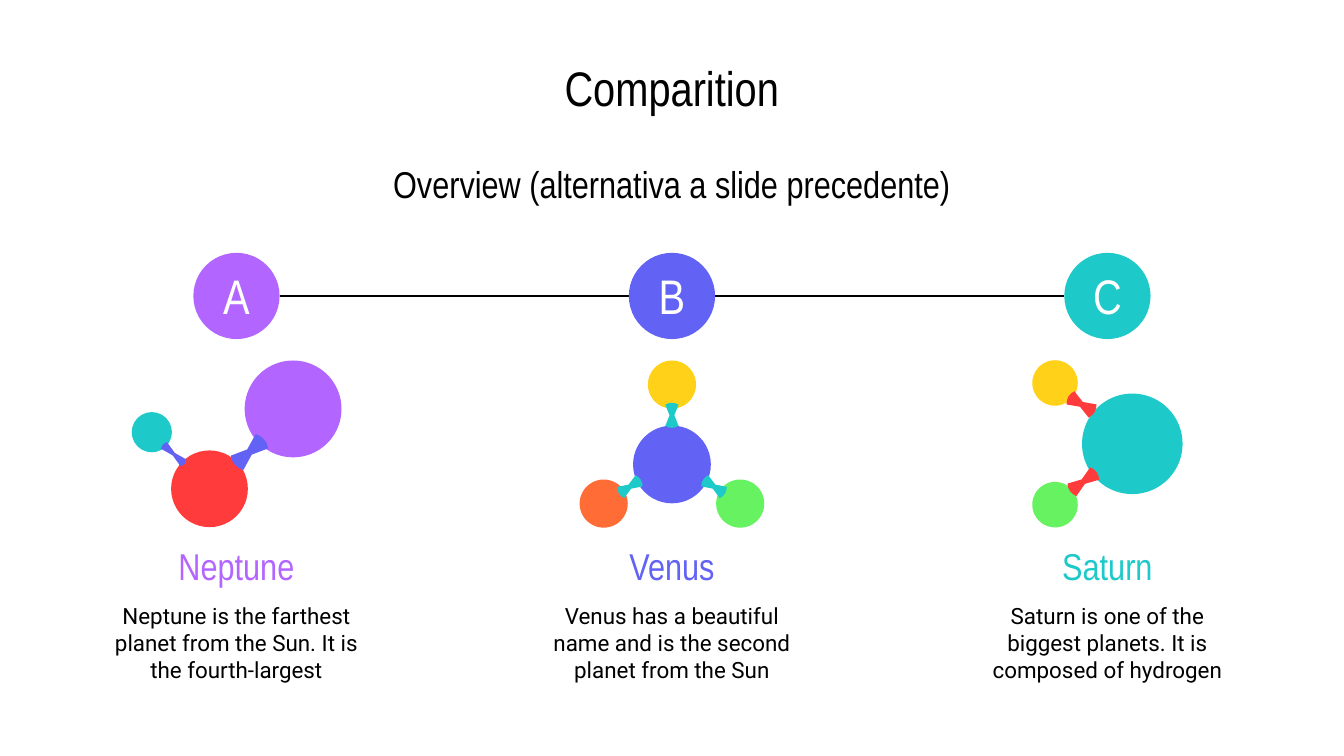
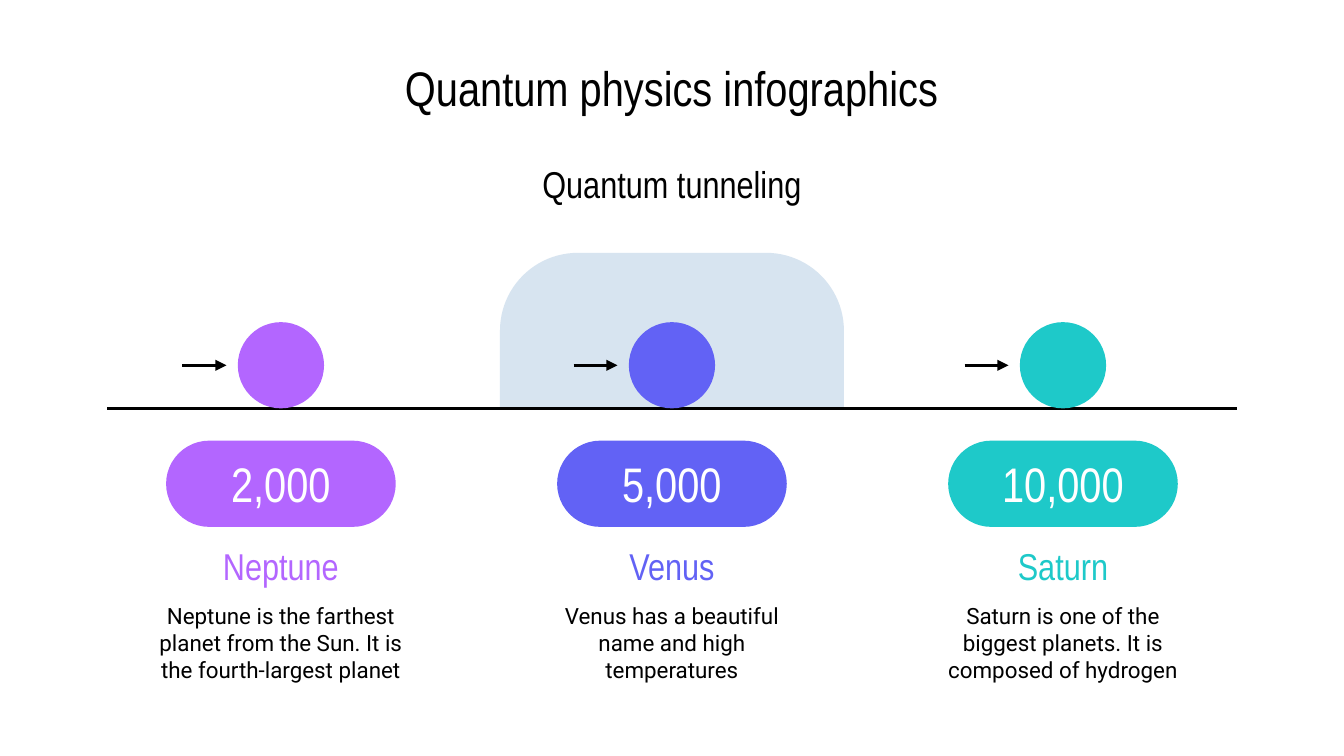
"""Build two infographic slides comparing three planets."""
import math

import pptx
import pptx.dml.color
import pptx.enum.shapes
import pptx.enum.text
import pptx.oxml
import pptx.oxml.ns
import pptx.util

Cm, Pt = pptx.util.Cm, pptx.util.Pt
SHAPE = pptx.enum.shapes.MSO_SHAPE

COLORS = {
    "black": "000000", "white": "FFFFFF", "purple": "B366FF", "blue": "6262F5",
    "teal": "1EC9C9", "red": "FF3B3B", "yellow": "FFD119", "orange": "FF6C36",
    "green": "66F261", "barrier": "D7E4F0",
}
HEAD, BODY = "Arial Narrow", "Roboto"
WIDTH, HEIGHT = 25.4, 14.29
MID = WIDTH / 2
BALL = 1.63

PLANETS = [("Neptune", "purple"), ("Venus", "blue"), ("Saturn", "teal")]

COMPARISON = {
    "title": "Comparition",
    "subtitle": "Overview (alternativa a slide precedente)",
    "step": 8.23,
    "labels": ["A", "B", "C"],
    "texts": [
        "Neptune is the farthest planet from the Sun. It is the fourth-largest",
        "Venus has a beautiful name and is the second planet from the Sun",
        "Saturn is one of the biggest planets. It is composed of hydrogen",
    ],
}
TUNNELING = {
    "title": "Quantum physics infographics",
    "subtitle": "Quantum tunneling",
    "step": 7.39,
    "labels": ["2,000", "5,000", "10,000"],
    "texts": [
        "Neptune is the farthest planet from the Sun. It is the fourth-largest planet",
        "Venus has a beautiful name and high temperatures",
        "Saturn is one of the biggest planets. It is composed of hydrogen",
    ],
}

# atoms: x from column centre, y, diameter, colour; bonds: x1, y1, x2, y2, width
MOLECULES = [
    {"atoms": [(-0.51, 9.24, 1.45, "red"), (-1.6, 8.17, 0.76, "teal"),
               (1.07, 7.73, 1.83, "purple")],
     "bonds": [(0.48, 8.34, 0.01, 8.75, 0.36), (-1.37, 8.42, -1, 8.75, 0.17)],
     "bond": "blue"},
    {"atoms": [(0, 8.78, 1.47, "blue"), (0, 7.27, 0.91, "yellow"),
               (-1.29, 9.52, 0.91, "orange"), (1.29, 9.52, 0.91, "green")],
     "bonds": [(0, 7.65, 0, 8.05, 0.25), (-0.62, 9.09, -0.97, 9.31, 0.25),
               (0.62, 9.09, 0.97, 9.31, 0.25)],
     "bond": "teal"},
    {"atoms": [(0.47, 8.39, 1.9, "teal"), (-0.99, 7.24, 0.86, "yellow"),
               (-0.99, 9.54, 0.86, "green")],
     "bonds": [(-0.7, 7.52, -0.28, 7.77, 0.29), (-0.24, 8.95, -0.67, 9.26, 0.29)],
     "bond": "red"},
]


def rgb(name):
    return pptx.dml.color.RGBColor.from_string(COLORS[name])


def write(sp, text, size, font, color, bottom=0.25):
    tf = sp.text_frame
    tf.word_wrap = True
    tf.vertical_anchor = pptx.enum.text.MSO_ANCHOR.MIDDLE
    tf.margin_left = tf.margin_right = tf.margin_top = Cm(0.25)
    tf.margin_bottom = Cm(bottom)
    p = tf.paragraphs[0]
    p.alignment = pptx.enum.text.PP_ALIGN.CENTER
    r = p.add_run()
    r.text = text
    r.font.size, r.font.name = Pt(size), font
    r.font.color.rgb = rgb(color)


def add_text(s, cx, y, w, h, text, size, font, color):
    sp = s.shapes.add_textbox(Cm(cx - w / 2), Cm(y), Cm(w), Cm(h))
    write(sp, text, size, font, color)


def paint(sp, color):
    sp.shadow.inherit = False
    sp.fill.solid()
    sp.fill.fore_color.rgb = rgb(color)
    sp.line.fill.background()


def add_form(s, kind, cx, y, w, h, color, label=None):
    sp = s.shapes.add_shape(kind, Cm(cx - w / 2), Cm(y), Cm(w), Cm(h))
    paint(sp, color)
    if label:
        write(sp, label, 26, HEAD, "white", 0.28)
    return sp


def add_line(s, x1, x2, y, arrow=False):
    cxn = s.shapes.add_connector(
        pptx.enum.shapes.MSO_CONNECTOR.STRAIGHT, Cm(x1), Cm(y), Cm(x2), Cm(y))
    cxn.line.color.rgb = rgb("black")
    cxn.line.width = Pt(1.5)
    if arrow:
        tail = pptx.oxml.ns.qn("a:tailEnd")
        cxn.line._get_or_add_ln().makeelement(tail)
        ln = cxn.line._get_or_add_ln()
        ln.append(ln.makeelement(tail, {"type": "triangle"}))
    pr = cxn._element.spPr
    pr.append(pr.makeelement(pptx.oxml.ns.qn("a:effectLst")))


def add_bond(s, cx, x1, y1, x2, y2, w, color):
    """Draw a narrow-waisted band with rounded ends."""
    half = math.hypot(x2 - x1, y2 - y1) / 2
    ux, uy = (x2 - x1) / half / 2, (y2 - y1) / half / 2
    cap = [(half + 0.15 * w * (1 - t * t), t * w / 2) for t in (-1, -0.5, 0, 0.5, 1)]
    side = cap + [(0, 0.18 * w)]
    outline = side + [(-a, -b) for a, b in side]
    mx, my = cx + (x1 + x2) / 2, (y1 + y2) / 2
    pts = [(Cm(mx + a * ux - b * uy), Cm(my + a * uy + b * ux)) for a, b in outline]
    fb = s.shapes.build_freeform(*pts[0])
    fb.add_line_segments(pts[1:], close=True)
    paint(fb.convert_to_shape(), color)


def add_slide(prs, content):
    """Add a slide with its headings and planet captions; return it and its columns."""
    s = prs.slides.add_slide(prs.slide_layouts[6])
    add_text(s, MID, 0.84, 14.25, 1.6, content["title"], 26, HEAD, "black")
    add_text(s, MID, 3, 14.25, 0.94, content["subtitle"], 20, HEAD, "black")
    centres = [MID + (i - 1) * content["step"] for i in range(len(PLANETS))]
    for cx, (name, color), text in zip(centres, PLANETS, content["texts"]):
        add_text(s, cx, 10.23, 5.38, 0.94, name, 20, HEAD, color)
        add_text(s, cx, 11.18, 5.38, 1.93, text, 12, BODY, "black")
    return s, centres


def build_comparison(prs):
    s, centres = add_slide(prs, COMPARISON)
    top = 4.78
    for left, right in zip(centres, centres[1:]):
        add_line(s, left + BALL / 2, right - BALL / 2, top + BALL / 2)
    for cx, (_, color), label, mol in zip(centres, PLANETS, COMPARISON["labels"], MOLECULES):
        add_form(s, SHAPE.OVAL, cx, top, BALL, BALL, color, label)
        for x, y, d, atom in mol["atoms"]:
            add_form(s, SHAPE.OVAL, cx + x, y - d / 2, d, d, atom)
        for bond in mol["bonds"]:
            add_bond(s, cx, *bond, mol["bond"])


def build_tunneling(prs):
    s, centres = add_slide(prs, TUNNELING)
    ground, barrier = 7.72, 2.94
    sp = add_form(s, SHAPE.ROUND_2_SAME_RECTANGLE, MID, ground - barrier, 6.5, barrier, "barrier")
    sp.adjustments[0], sp.adjustments[1] = 0.5, 0
    add_line(s, 2.03, WIDTH - 2.03, ground)
    for cx, (_, color), label in zip(centres, PLANETS, TUNNELING["labels"]):
        add_line(s, cx - 1.86, cx - 1.03, ground - BALL / 2, arrow=True)
        add_form(s, SHAPE.OVAL, cx, ground - BALL, BALL, BALL, color)
        sp = add_form(s, SHAPE.ROUNDED_RECTANGLE, cx, 8.33, 4.34, BALL, color, label)
        sp.adjustments[0] = 0.5


def main():
    prs = pptx.Presentation()
    prs.slide_width, prs.slide_height = Cm(WIDTH), Cm(HEIGHT)
    build_comparison(prs)
    build_tunneling(prs)
    prs.save("out.pptx")


if __name__ == "__main__":
    main()
